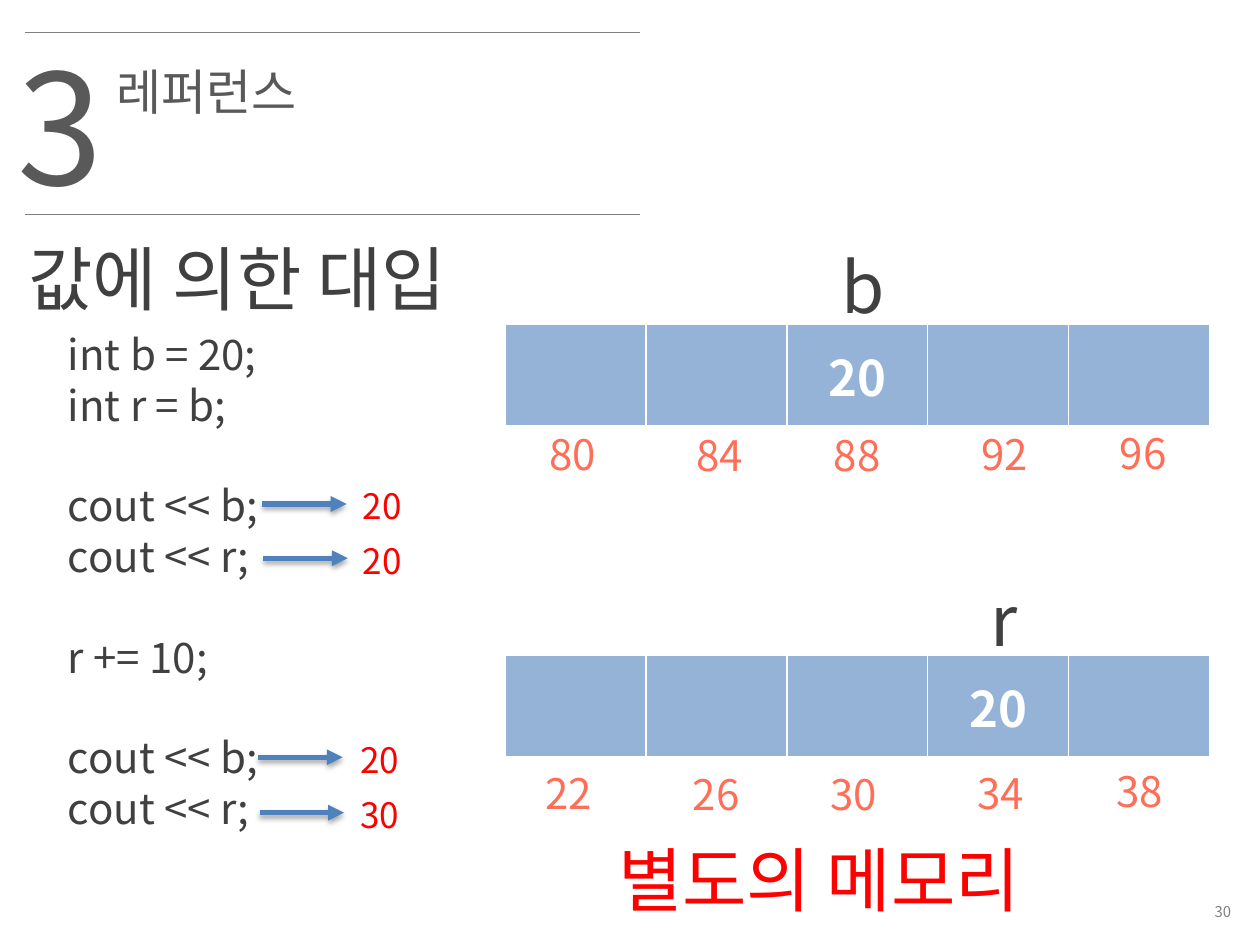
from lxml import etree
from pptx import Presentation
from pptx.dml.color import RGBColor
from pptx.enum.shapes import MSO_CONNECTOR as Connector
from pptx.enum.text import MSO_ANCHOR as Anchor, PP_ALIGN as Align
from pptx.oxml import parse_xml
from pptx.oxml.ns import nsdecls, qn
from pptx.util import Inches, Pt

FONT = "Noto Sans CJK KR"
COLORS = {
    "heading": "595959",
    "body": "404040",
    "rule": "808080",
    "result": "FF0000",
    "address": "FF6E57",
    "arrow": "4F81BD",
    "cell": "95B3D7",
    "value": "FFFFFF",
}
CODE = [
    "int b = 20;", "int r = b;", "",
    "cout << b;", "cout << r;", "",
    "r += 10;", "",
    "cout << b;", "cout << r;",
]
OUTPUTS = [
    (2.08, 4.0, 2.78, "20"),
    (2.09, 4.43, 2.78, "20"),
    (2.05, 6.01, 2.76, "20"),
    (2.06, 6.45, 2.76, "30"),
]
ADDRESS_OFFSETS = [(0, 0), (1.17, 0.01), (2.26, 0.01), (3.43, 0), (4.53, -0.01)]


def color(name):
    return RGBColor.from_string(COLORS[name])


def add_run(paragraph, text, size, color_name, bold=False):
    run = paragraph.add_run()
    run.text = text
    run.font.name = FONT
    run.font.size = Pt(size)
    run.font.bold = bold
    run.font.color.rgb = color(color_name)
    east_asian = etree.SubElement(run._r.get_or_add_rPr(), qn("a:ea"))
    east_asian.set("typeface", FONT)


def add_text(slide, box, lines, size, color_name, align=Align.LEFT, anchor=Anchor.TOP):
    shape = slide.shapes.add_textbox(*[Inches(value) for value in box])
    frame = shape.text_frame
    frame.word_wrap = True
    frame.vertical_anchor = anchor
    for index, line in enumerate(lines):
        paragraph = frame.add_paragraph() if index else frame.paragraphs[0]
        paragraph.alignment = align
        if line:
            add_run(paragraph, line, size, color_name)
        else:
            paragraph.font.size = Pt(size)
            paragraph._p.get_or_add_endParaRPr().set("sz", str(size * 100))


def add_line(slide, left, top, length, color_name, width):
    line = slide.shapes.add_connector(
        Connector.STRAIGHT, Inches(left), Inches(top), Inches(left + length), Inches(top))
    line.line.color.rgb = color(color_name)
    line.line.width = Pt(width)
    effects = etree.SubElement(line._element.spPr, qn("a:effectLst"))
    return line, effects


def add_arrow(slide, left, top):
    arrow, effects = add_line(slide, left, top, 0.67, "arrow", 3)
    etree.SubElement(arrow.line._get_or_add_ln(), qn("a:tailEnd")).set("type", "triangle")
    effects.append(parse_xml(
        f'<a:outerShdw {nsdecls("a")} blurRad="{Pt(3.1)}" dist="{Pt(1.8)}" dir="5400000"'
        ' rotWithShape="0"><a:srgbClr val="000000"><a:alpha val="35000"/></a:srgbClr>'
        '</a:outerShdw>'))


def add_memory(slide, top, value_column, value):
    table = slide.shapes.add_table(
        1, 5, Inches(4.01), Inches(top), Inches(5.59), Inches(0.81)).table
    table.horz_banding = False
    for cell in table.iter_cells():
        cell.fill.solid()
        cell.fill.fore_color.rgb = color("cell")
    cell = table.cell(0, value_column)
    cell.vertical_anchor = Anchor.MIDDLE
    paragraph = cell.text_frame.paragraphs[0]
    paragraph.alignment = Align.CENTER
    add_run(paragraph, value, 28, "value", bold=True)


def add_addresses(slide, left, top, first):
    for index, (right, down) in enumerate(ADDRESS_OFFSETS):
        box = (left + right, top + down, 0.81, 0.5)
        add_text(slide, box, [str(first + 4 * index)], 24, "address")


def main():
    presentation = Presentation()
    presentation.slide_width = Inches(10)
    presentation.slide_height = Inches(7.5)
    slide = presentation.slides.add_slide(presentation.slide_layouts[6])

    add_text(slide, (7.76, 7.1, 2.11, 0.27), ["30"], 8.5, "rule", Align.RIGHT, Anchor.MIDDLE)
    for top in (0.26, 1.7):
        add_line(slide, 0.2, top, 4.88, "rule", 0.75)
    add_text(slide, (0.83, 0.44, 4.49, 0.57), ["레퍼런스"], 28, "heading")
    add_text(slide, (0.04, 0.2, 0.79, 1.58), ["3"], 88, "heading")
    add_text(slide, (0.13, 1.82, 4.96, 0.77), ["값에 의한 대입"], 40, "body")
    add_text(slide, (0.44, 2.56, 3.37, 4.54), CODE, 24, "body")

    for left, top, text_left, result in OUTPUTS:
        add_arrow(slide, left, top)
        add_text(slide, (text_left, top - 0.2, 0.72, 0.44), [result], 20, "result")

    add_memory(slide, 2.57, 2, "20")
    add_memory(slide, 5.2, 3, "20")
    add_addresses(slide, 4.26, 3.35, 80)
    add_addresses(slide, 4.23, 6.04, 22)
    add_text(slide, (6.58, 1.88, 0.5, 0.77), ["b"], 40, "body")
    add_text(slide, (7.76, 4.53, 0.5, 0.77), ["r"], 40, "body")
    add_text(slide, (4.81, 6.59, 4.96, 0.77), ["별도의 메모리"], 40, "result")

    presentation.save("out.pptx")


if __name__ == "__main__":
    main()
